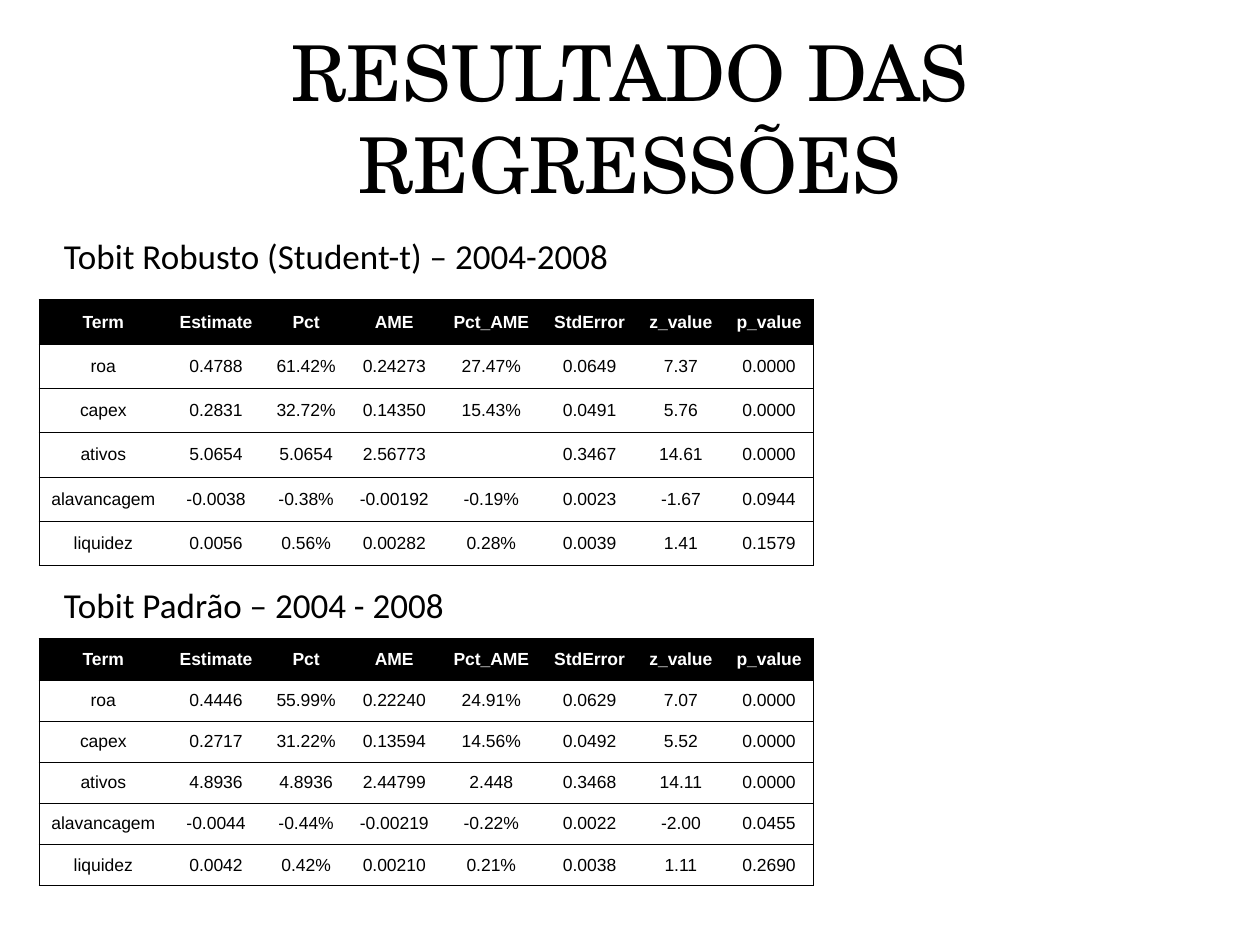
import pptx
import pptx.dml.color
import pptx.enum.text
import pptx.oxml
import pptx.oxml.ns
import pptx.util

SLIDE_WIDTH, SLIDE_HEIGHT = 10, 7.5
BLACK, WHITE = "000000", "FFFFFF"
CELL_INDENT = 0.07
COLUMN_WIDTHS = [1.02, 0.77, 0.66, 0.74, 0.8, 0.76, 0.69, 0.71]
HEADER = ["Term", "Estimate", "Pct", "AME", "Pct_AME", "StdError", "z_value", "p_value"]
ROBUST_ROWS = [
    ["roa", "0.4788", "61.42%", "0.24273", "27.47%", "0.0649", "7.37", "0.0000"],
    ["capex", "0.2831", "32.72%", "0.14350", "15.43%", "0.0491", "5.76", "0.0000"],
    ["ativos", "5.0654", "5.0654", "2.56773", "", "0.3467", "14.61", "0.0000"],
    ["alavancagem", "-0.0038", "-0.38%", "-0.00192", "-0.19%", "0.0023", "-1.67", "0.0944"],
    ["liquidez", "0.0056", "0.56%", "0.00282", "0.28%", "0.0039", "1.41", "0.1579"],
]
STANDARD_ROWS = [
    ["roa", "0.4446", "55.99%", "0.22240", "24.91%", "0.0629", "7.07", "0.0000"],
    ["capex", "0.2717", "31.22%", "0.13594", "14.56%", "0.0492", "5.52", "0.0000"],
    ["ativos", "4.8936", "4.8936", "2.44799", "2.448", "0.3468", "14.11", "0.0000"],
    ["alavancagem", "-0.0044", "-0.44%", "-0.00219", "-0.22%", "0.0022", "-2.00", "0.0455"],
    ["liquidez", "0.0042", "0.42%", "0.00210", "0.21%", "0.0038", "1.11", "0.2690"],
]


def color(value):
    """Turn a hex string into a colour."""
    return pptx.dml.color.RGBColor.from_string(value)


def inches(*lengths):
    """Turn lengths in inches into slide units."""
    return [pptx.util.Inches(length) for length in lengths]


def format_runs(paragraph, font, size, shade, bold=False):
    """Give every run of a paragraph the same look."""
    for span in paragraph.runs:
        span.font.name = font
        span.font.size = pptx.util.Pt(size)
        span.font.bold = bold
        span.font.color.rgb = color(shade)


def set_title(slide, text):
    """Place and format the slide title."""
    title = slide.shapes.title
    title.left, title.top, title.width, title.height = inches(0.5, 0.3, 9, 1.25)
    frame = title.text_frame
    frame.text = text
    frame.word_wrap = True
    frame.auto_size = pptx.enum.text.MSO_AUTO_SIZE.NONE
    frame.vertical_anchor = pptx.enum.text.MSO_ANCHOR.MIDDLE
    para = frame.paragraphs[0]
    para.alignment = pptx.enum.text.PP_ALIGN.CENTER
    format_runs(para, "TeX Gyre Schola", 44, BLACK)


def add_heading(slide, text, top):
    """Add the heading that stands above a table."""
    box = slide.shapes.add_textbox(*inches(0.41, top, 9.53, 0.74))
    box.text_frame.word_wrap = True
    box.text_frame.text = text
    format_runs(box.text_frame.paragraphs[0], "Calibri", 20, BLACK)


def set_borders(cell, sides):
    """Draw thin black lines on the given sides and clear the others."""
    namespace = pptx.oxml.ns.nsdecls("a")
    properties = cell._tc.get_or_add_tcPr()
    for side in "LRTB":
        fill = f'<a:solidFill><a:srgbClr val="{BLACK}"/></a:solidFill>' if side in sides else "<a:noFill/>"
        properties.append(pptx.oxml.parse_xml(
            f'<a:ln{side} {namespace} w="{pptx.util.Pt(0.5)}">{fill}</a:ln{side}>'))


def fill_cell(cell, text, is_header):
    """Write centred text into a cell and set its fill."""
    cell.margin_left = cell.margin_right = cell.margin_top = cell.margin_bottom = 0
    cell.vertical_anchor = pptx.enum.text.MSO_ANCHOR.MIDDLE
    cell.text_frame.text = text
    para = cell.text_frame.paragraphs[0]
    para.alignment = pptx.enum.text.PP_ALIGN.CENTER
    for margin in ("marL", "marR"):
        para._p.get_or_add_pPr().set(margin, str(pptx.util.Inches(CELL_INDENT)))
    format_runs(para, "Arial", 10, WHITE if is_header else BLACK, is_header)
    if is_header:
        cell.fill.solid()
        cell.fill.fore_color.rgb = color(BLACK)
    else:
        cell.fill.background()


def add_results(slide, rows, top, height):
    """Add a table of regression results with ruled rows."""
    grid = [HEADER] + rows
    last = len(HEADER) - 1
    table = slide.shapes.add_table(
        len(grid), len(HEADER), *inches(0.31, top, sum(COLUMN_WIDTHS), height)).table
    table.first_row = table.horz_banding = False
    for column, width in zip(table.columns, COLUMN_WIDTHS):
        column.width = pptx.util.Inches(width)
    for row_index, texts in enumerate(grid):
        table.rows[row_index].height = pptx.util.Inches(height / len(grid))
        for column_index, text in enumerate(texts):
            cell = table.cell(row_index, column_index)
            set_borders(cell, "TB" + {0: "L", last: "R"}.get(column_index, ""))
            fill_cell(cell, text, row_index == 0)


def main():
    """Build the slide and save the deck."""
    deck = pptx.Presentation()
    deck.slide_width, deck.slide_height = inches(SLIDE_WIDTH, SLIDE_HEIGHT)
    slide = deck.slides.add_slide(deck.slide_layouts[5])
    set_title(slide, "RESULTADO DAS REGRESSÕES")
    add_heading(slide, "Tobit Robusto (Student-t) – 2004-2008", 1.81)
    add_heading(slide, "Tobit Padrão – 2004 - 2008", 4.58)
    add_results(slide, ROBUST_ROWS, 2.38, 2.11)
    add_results(slide, STANDARD_ROWS, 5.07, 1.96)
    deck.save("out.pptx")


if __name__ == "__main__":
    main()
